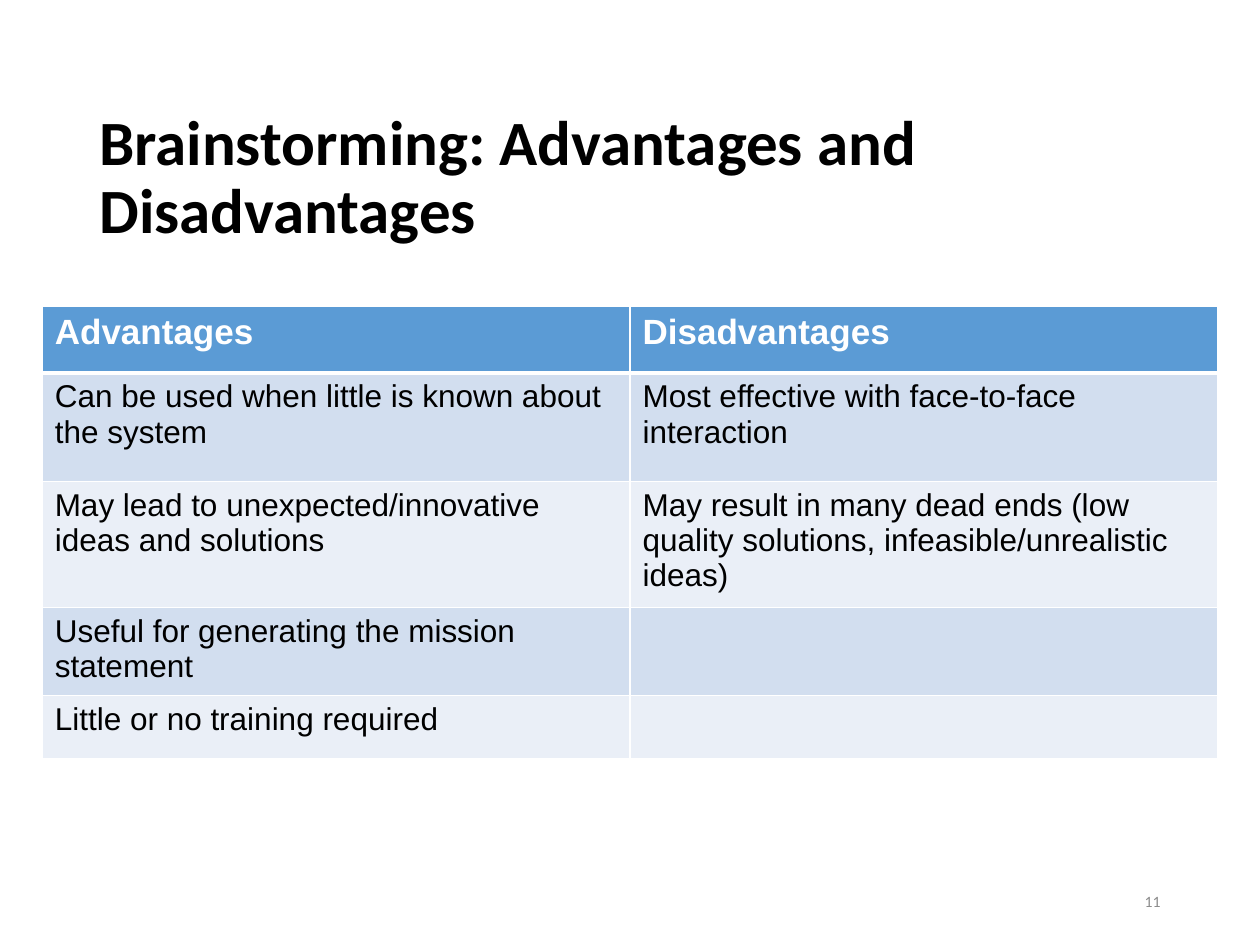
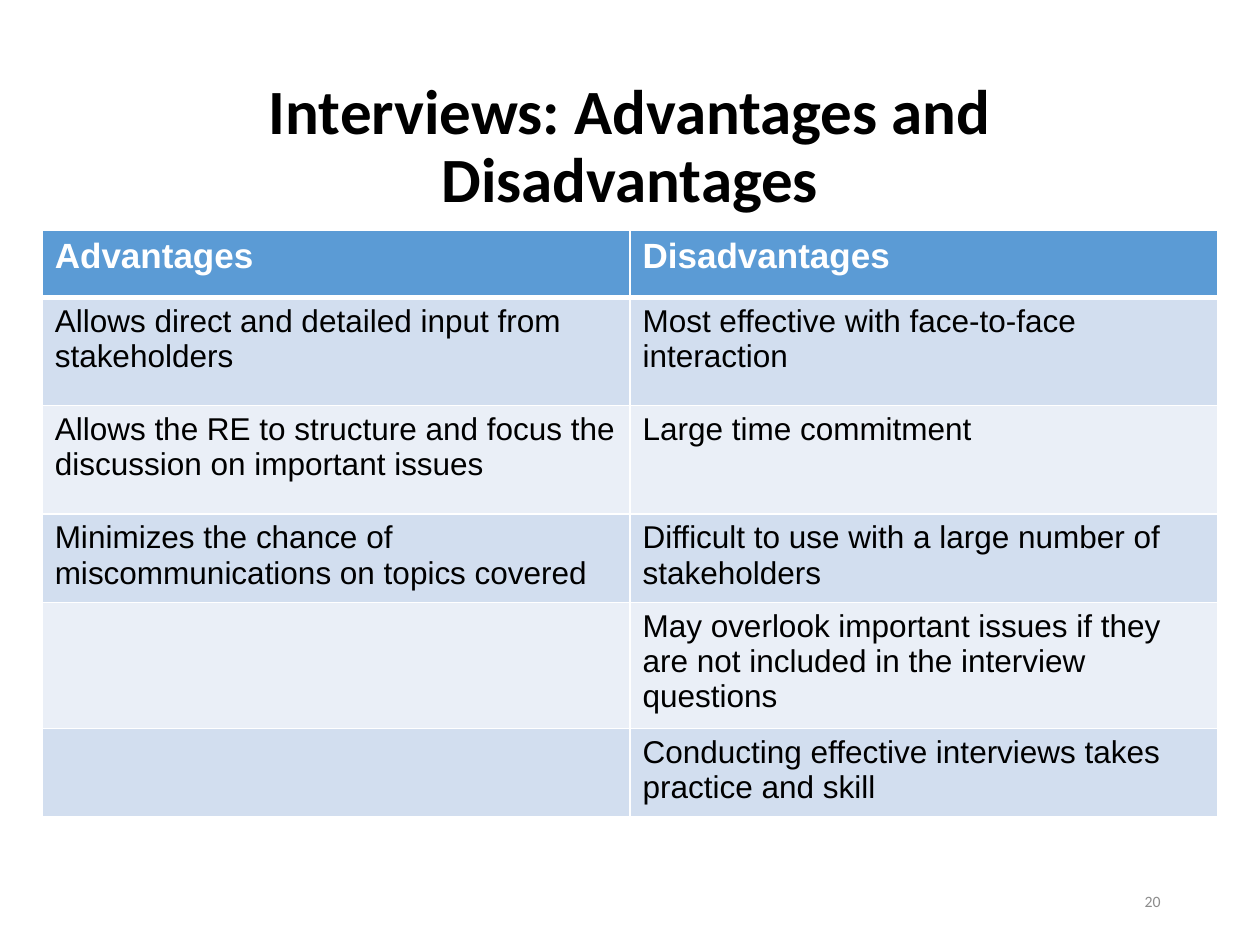
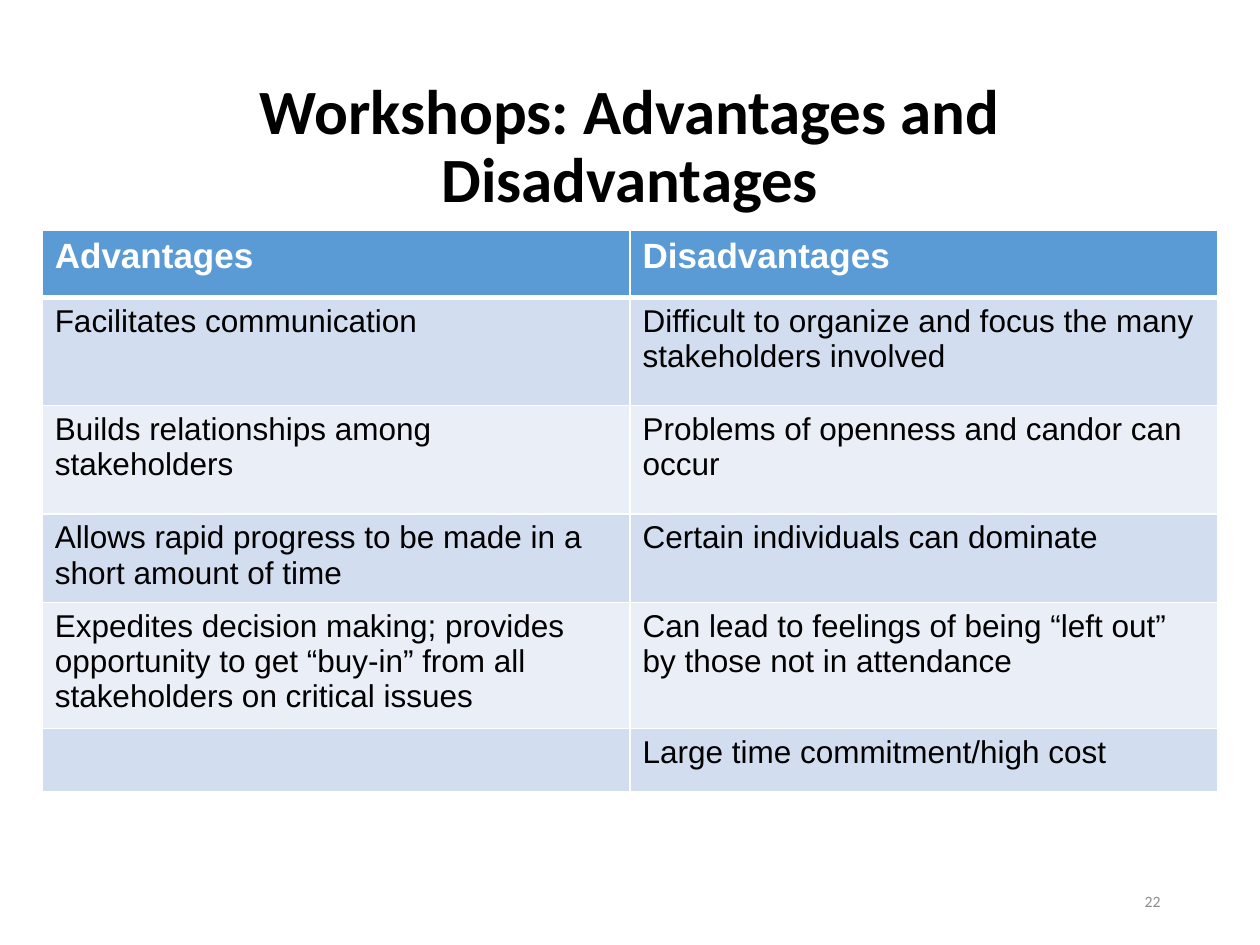
from dataclasses import dataclass

from lxml.etree import SubElement
from pptx import Presentation
from pptx.dml.color import RGBColor as RGB
from pptx.enum.text import MSO_ANCHOR as Anchor, PP_ALIGN as Align
from pptx.oxml.ns import qn
from pptx.util import Inches, Pt


@dataclass(frozen=True)
class Theme:
    title_font: str = "Calibri"
    table_font: str = "Arial"
    title_size: int = 36
    head_size: int = 20
    body_size: int = 18
    number_size: int = 9
    ink: str = "000000"
    paper: str = "FFFFFF"
    muted: str = "8C8C8C"
    head: str = "5B9BD5"
    bands: tuple = ("D2DEEF", "EAEFF7")
    thin: int = 1
    thick: int = 3


T = Theme()
W, H = 10, 7.5
MARGIN = 0.69
TITLE_H = 0.81
TABLE_W = 9.33
HEAD_H, TALL, SHORT = 0.53, 0.86, 0.5
HEADERS = ("Advantages", "Disadvantages")

SLIDES = [
    dict(
        number="11", title="Brainstorming: Advantages and Disadvantages",
        align=Align.LEFT, title_top=1.02, table_top=2.43,
        rows=[
            (TALL, "Can be used when little is known about the system",
             "Most effective with face-to-face interaction"),
            (TALL, "May lead to unexpected/innovative ideas and solutions",
             "May result in many dead ends (low quality solutions, infeasible/unrealistic ideas)"),
            (SHORT, "Useful for generating the mission statement", ""),
            (SHORT, "Little or no training required", ""),
        ],
    ),
    dict(
        number="20", title="Interviews: Advantages and Disadvantages",
        align=Align.CENTER, title_top=0.77, table_top=1.83,
        rows=[
            (TALL, "Allows direct and detailed input from stakeholders",
             "Most effective with face-to-face interaction"),
            (TALL, "Allows the RE to structure and focus the discussion on important issues",
             "Large time commitment"),
            (SHORT, "Minimizes the chance of miscommunications on topics covered",
             "Difficult to use with a large number of stakeholders"),
            (TALL, "",
             "May overlook important issues if they are not included in the interview questions"),
            (SHORT, "", "Conducting effective interviews takes practice and skill"),
        ],
    ),
    dict(
        number="22", title="Workshops: Advantages and Disadvantages",
        align=Align.CENTER, title_top=0.77, table_top=1.83,
        rows=[
            (TALL, "Facilitates communication",
             "Difficult to organize and focus the many stakeholders involved"),
            (TALL, "Builds relationships among stakeholders",
             "Problems of openness and candor can occur"),
            (SHORT, "Allows rapid progress to be made in a short amount of time",
             "Certain individuals can dominate"),
            (TALL, "Expedites decision making; provides opportunity to get “buy-in” from all "
             "stakeholders on critical issues",
             "Can lead to feelings of being “left out” by those not in attendance"),
            (SHORT, "", "Large time commitment/high cost"),
        ],
    ),
]


def add_run(p, text, font, size, color, bold=False):
    r = p.add_run()
    r.text = text
    r.font.name = font
    r.font.size = Pt(size)
    r.font.bold = bold
    r.font.color.rgb = RGB.from_string(color)


def add_text(slide, box, text, align, size, color, bold=False, spacing=None):
    tf = slide.shapes.add_textbox(*map(Inches, box)).text_frame
    tf.word_wrap = True
    tf.vertical_anchor = Anchor.MIDDLE
    p = tf.paragraphs[0]
    p.alignment = align
    p.line_spacing = spacing
    add_run(p, text, T.title_font, size, color, bold)


def set_borders(cell, top, bottom):
    props = cell._tc.get_or_add_tcPr()
    widths = dict(lnL=T.thin, lnR=T.thin, lnT=top, lnB=bottom)
    for i, (side, width) in enumerate(widths.items()):
        line = SubElement(props, qn(f"a:{side}"), w=str(Pt(width)))
        fill = SubElement(line, qn("a:solidFill"))
        SubElement(fill, qn("a:srgbClr"), val=T.paper)
        props.insert(i, line)


def add_comparison(slide, top, body):
    rows = [(HEAD_H, *HEADERS), *body]
    height = sum(row[0] for row in rows)
    box = ((W - TABLE_W) / 2, top, TABLE_W, height)
    table = slide.shapes.add_table(len(rows), len(HEADERS), *map(Inches, box)).table
    for i, (row_h, *texts) in enumerate(rows):
        table.rows[i].height = Inches(row_h)
        is_head = i == 0
        fill = T.head if is_head else T.bands[(i - 1) % 2]
        size, color = (T.head_size, T.paper) if is_head else (T.body_size, T.ink)
        for j, text in enumerate(texts):
            cell = table.cell(i, j)
            cell.fill.solid()
            cell.fill.fore_color.rgb = RGB.from_string(fill)
            set_borders(cell, T.thick if i == 1 else T.thin, T.thick if is_head else T.thin)
            if text:
                add_run(cell.text_frame.paragraphs[0], text, T.table_font, size, color, is_head)


def main():
    prs = Presentation()
    prs.slide_width, prs.slide_height = Inches(W), Inches(H)
    for page in SLIDES:
        slide = prs.slides.add_slide(prs.slide_layouts[6])
        add_text(slide, (W - MARGIN - 2.25, 6.95, 2.25, 0.4), page["number"],
                 Align.RIGHT, T.number_size, T.muted)
        add_text(slide, (MARGIN, page["title_top"], W - 2 * MARGIN, TITLE_H), page["title"],
                 page["align"], T.title_size, T.ink, True, 0.9)
        add_comparison(slide, page["table_top"], page["rows"])
    prs.save("out.pptx")


if __name__ == "__main__":
    main()
